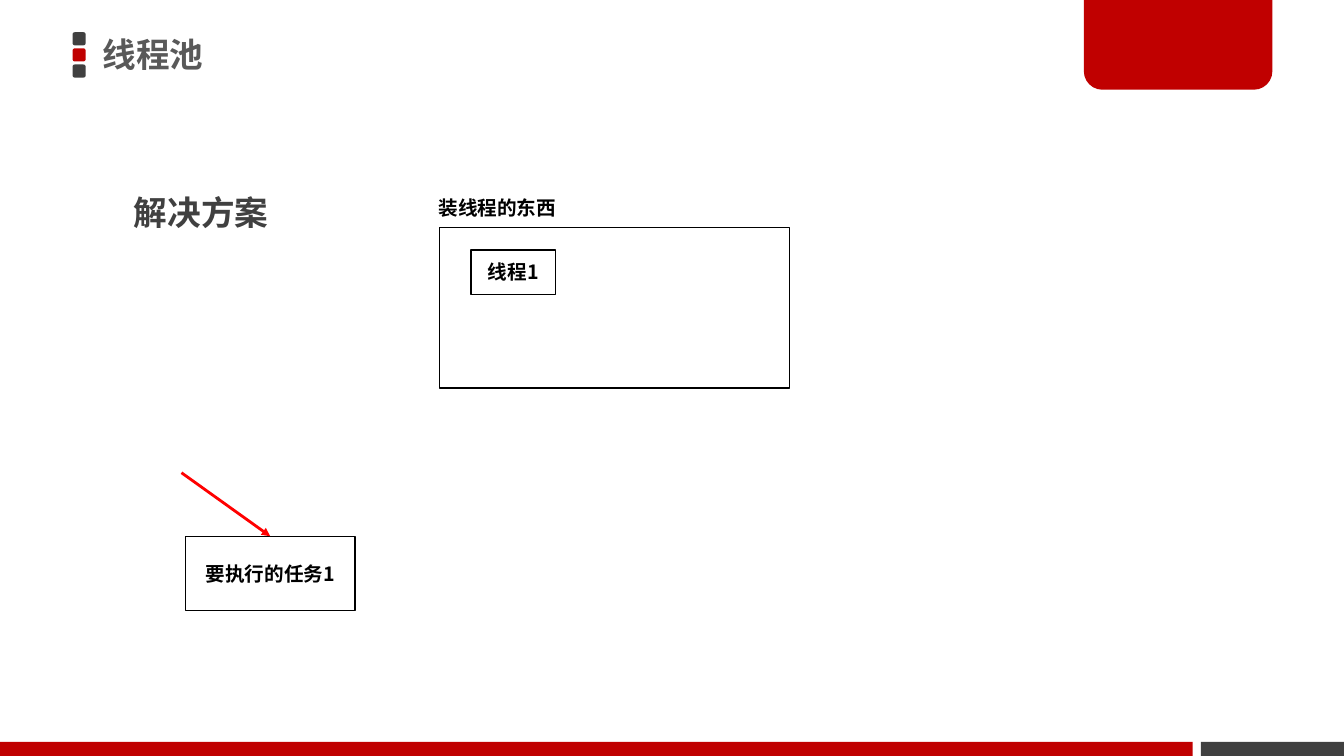
"""Builds the thread pool slide: a thread container and a task waiting to run."""
from lxml.etree import SubElement
from pptx import Presentation
from pptx.dml.color import RGBColor
from pptx.enum.shapes import MSO_CONNECTOR, MSO_SHAPE
from pptx.enum.text import MSO_ANCHOR, MSO_AUTO_SIZE, PP_ALIGN
from pptx.oxml.ns import qn
from pptx.util import Inches, Pt

FONT = "Noto Sans CJK JP"
RED = RGBColor(0xC0, 0x00, 0x00)
ARROW_RED = RGBColor(0xFF, 0x00, 0x00)
DARK = RGBColor(0x40, 0x40, 0x40)
GRAY = RGBColor(0x59, 0x59, 0x59)
BLACK = RGBColor(0x00, 0x00, 0x00)

MARKER_COLORS = [DARK, RED, DARK]
MARKER_LEFT, MARKER_TOP, MARKER_SIZE, MARKER_STEP = 0.72, 0.32, 0.13, 0.16
DECORATIONS = [
    (MSO_SHAPE.RECTANGLE, (11.91, 7.36, 1.42, 0.14), DARK, []),
    (MSO_SHAPE.ROUND_2_SAME_RECTANGLE, (10.75, -0.03, 1.87, 0.92), RED, [0, 0.2]),
    (MSO_SHAPE.RECTANGLE, (0, 7.36, 11.83, 0.14), RED, []),
] + [
    (MSO_SHAPE.ROUNDED_RECTANGLE,
     (MARKER_LEFT, MARKER_TOP + row * MARKER_STEP, MARKER_SIZE, MARKER_SIZE), color, [0.167])
    for row, color in enumerate(MARKER_COLORS)
]
BOXES = [
    ("", (4.36, 2.26, 3.47, 1.59)),
    ("线程1", (4.67, 2.48, 0.84, 0.44)),
    ("要执行的任务1", (1.84, 5.32, 1.68, 0.74)),
]
LABELS = [
    ("线程池", (0.92, -0.03, 7.85, 1.18), 24, GRAY, 0.9,
     {"word_wrap": True, "vertical_anchor": MSO_ANCHOR.MIDDLE}),
    ("解决方案", (1.23, 1.65, 5.12, 0.65), 24, DARK, 1.5,
     {"word_wrap": True, "auto_size": MSO_AUTO_SIZE.SHAPE_TO_FIT_TEXT}),
    ("装线程的东西", (4.25, 1.89, 1.38, 0.34), 14, BLACK, 1.0,
     {"word_wrap": False, "auto_size": MSO_AUTO_SIZE.SHAPE_TO_FIT_TEXT}),
]
TASK_ARROW = (1.8, 4.69, 2.68, 5.32)


def inches(lengths):
    return [Inches(length) for length in lengths]


def apply_format(target, values):
    for key, value in values.items():
        setattr(target, key, value)


def write(frame, text, size, color, frame_format, paragraph_format):
    apply_format(frame, frame_format)
    paragraph = frame.paragraphs[0]
    apply_format(paragraph, paragraph_format)
    run = paragraph.add_run()
    run.text = text
    apply_format(run.font, {"name": FONT, "size": Pt(size), "bold": True})
    run.font.color.rgb = color
    SubElement(run.font._element, qn("a:ea"), typeface=FONT)


def add_decoration(slide, kind, place, color, adjustments):
    decoration = slide.shapes.add_shape(kind, *inches(place))
    decoration.shadow.inherit = False
    decoration.fill.solid()
    decoration.fill.fore_color.rgb = color
    decoration.line.fill.background()
    for index, value in enumerate(adjustments):
        decoration.adjustments[index] = value


def add_box(slide, text, place):
    box = slide.shapes.add_shape(MSO_SHAPE.RECTANGLE, *inches(place))
    box.shadow.inherit = False
    box.fill.background()
    box.line.color.rgb = BLACK
    box.line.width = Pt(1)
    if text:
        write(box.text_frame, text, 14, BLACK,
              {"word_wrap": True, "vertical_anchor": MSO_ANCHOR.MIDDLE},
              {"alignment": PP_ALIGN.CENTER})


def add_arrow(slide, ends):
    arrow = slide.shapes.add_connector(MSO_CONNECTOR.STRAIGHT, *inches(ends))
    arrow.line.color.rgb = ARROW_RED
    arrow.line.width = Pt(2)
    SubElement(arrow.line._get_or_add_ln(), qn("a:tailEnd"), type="triangle")
    SubElement(arrow._element.spPr, qn("a:effectLst"))


def main():
    deck = Presentation()
    deck.slide_width, deck.slide_height = inches((13.33, 7.5))
    slide = deck.slides.add_slide(deck.slide_layouts[6])
    for decoration in DECORATIONS:
        add_decoration(slide, *decoration)
    for text, place in BOXES:
        add_box(slide, text, place)
    for text, place, size, color, spacing, frame_format in LABELS:
        label = slide.shapes.add_textbox(*inches(place))
        write(label.text_frame, text, size, color, frame_format, {"line_spacing": spacing})
    add_arrow(slide, TASK_ARROW)
    deck.save("out.pptx")


if __name__ == "__main__":
    main()
